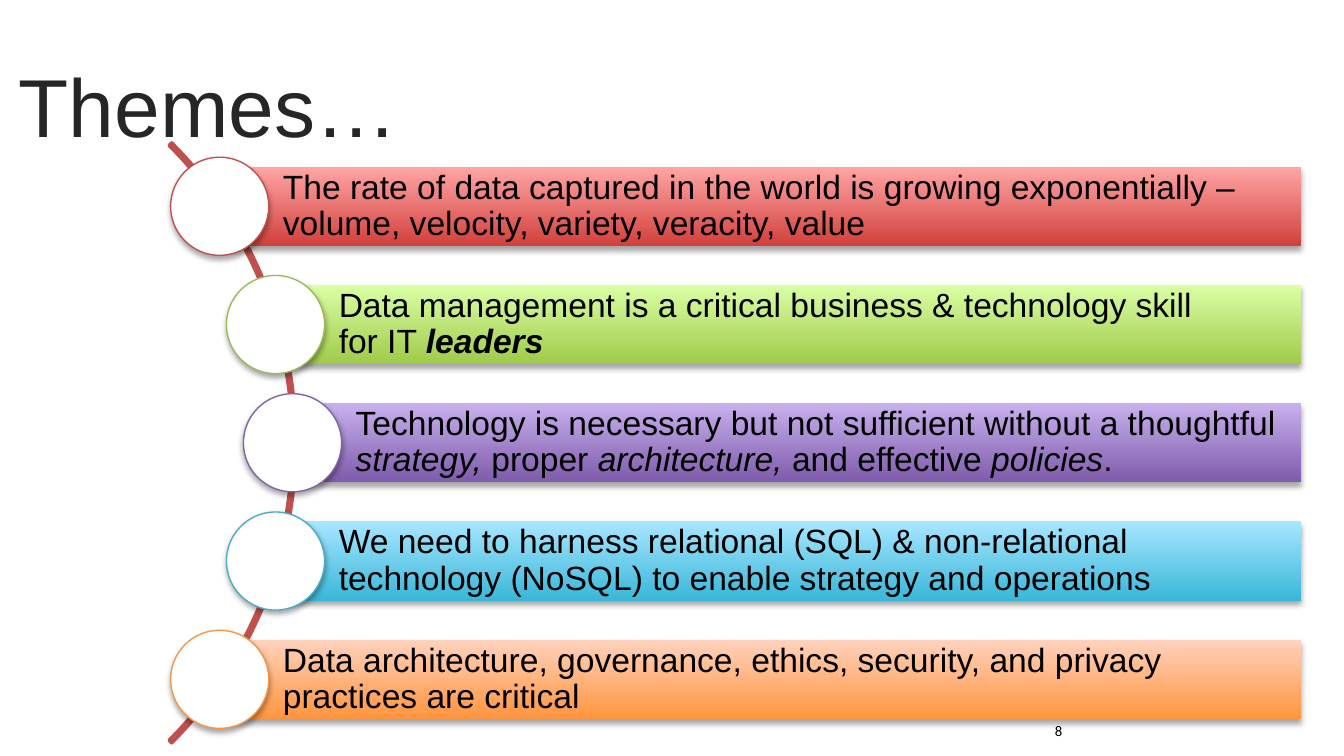
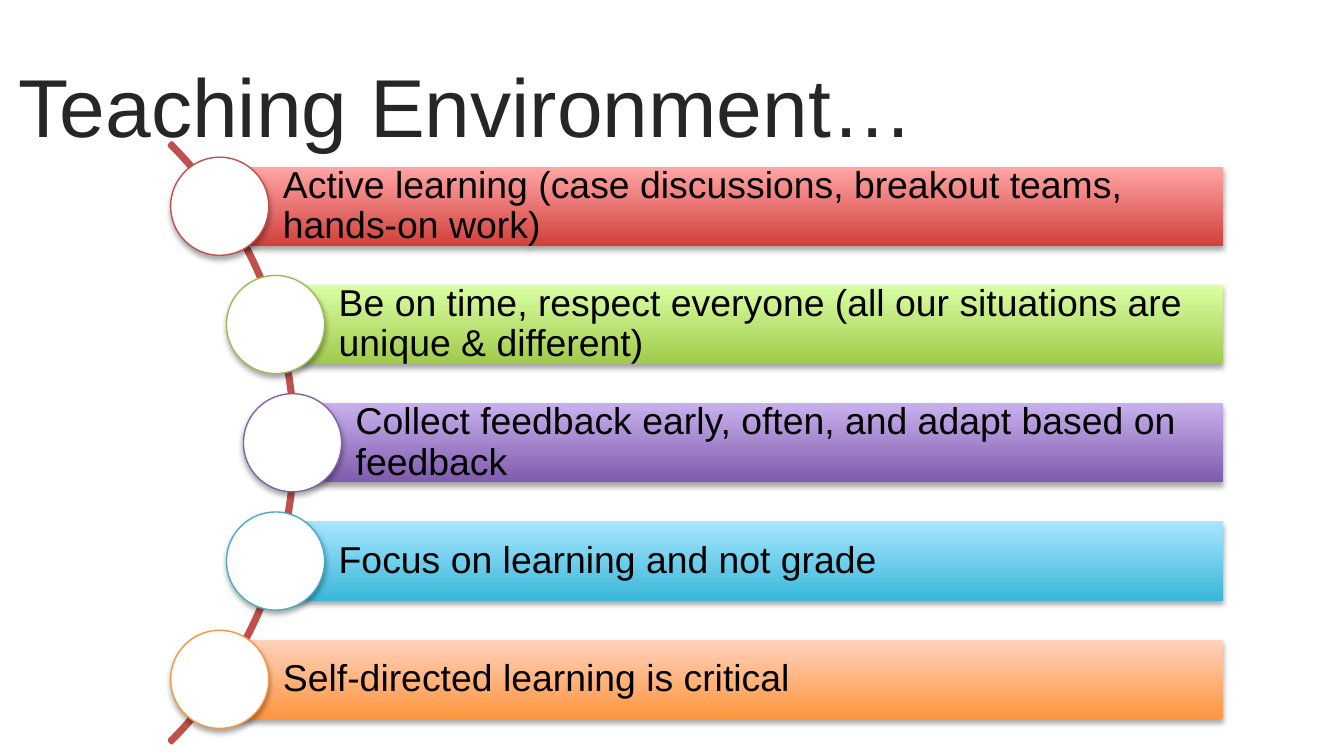
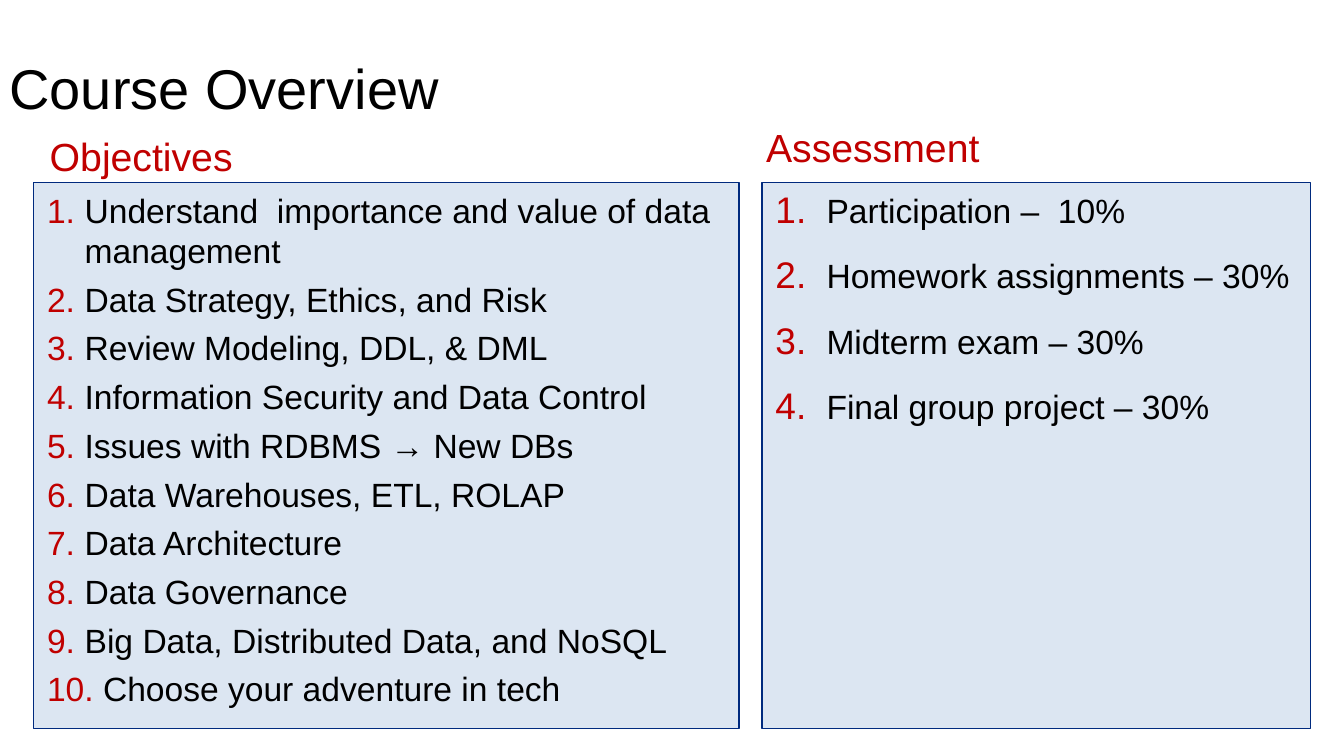
import math

import lxml.etree
import pptx
import pptx.dml.color
import pptx.enum.shapes
import pptx.enum.text
import pptx.oxml.ns
import pptx.util

Inches = pptx.util.Inches
Pt = pptx.util.Pt
SHAPE = pptx.enum.shapes.MSO_SHAPE
ANCHOR = pptx.enum.text.MSO_ANCHOR
qn = pptx.oxml.ns.qn

FONT = "Arial"
BLACK, WHITE, DARK = "000000", "FFFFFF", "262626"
RED, PALE, NAVY, ARC = "C00000", "DCE6F2", "002A7E", "C0504D"
TONES = [
    ("D1403C", "FFA6A5", "C0504D"),
    ("A0CA4A", "DAFFA5", "9BBB59"),
    ("7F5BAB", "C8B0ED", "8064A2"),
    ("39B7D8", "A7E6FF", "4BACC6"),
    ("FF953E", "FFD2BD", "F79646"),
]
DISC, BAR = 0.73, 0.59
ORBIT, RING = 3.13, 6.31

THEMES = [
    ["The rate of data captured in the world is growing exponentially – "
     "volume, velocity, variety, veracity, value"],
    ["Data management is a critical business & technology skill\vfor IT ", ("leaders", True, True)],
    ["Technology is necessary but not sufficient without a thoughtful ",
     ("strategy, ", True, False), ("proper ", False, False),
     ("architecture, ", True, False), ("and effective", False, False),
     (" policies", True, False), (".", False, False)],
    ["We need to harness relational (SQL) & non-relational "
     "technology (NoSQL) to enable strategy and operations"],
    ["Data architecture, governance, ethics, security, and privacy practices are critical"],
]
HABITS = [
    ["Active learning (case discussions, breakout teams, hands-on work)"],
    ["Be on time, respect everyone (all our situations are unique & different)"],
    ["Collect feedback early, often, and adapt based on feedback"],
    ["Focus on learning and not grade"],
    ["Self-directed learning is critical"],
]
GOALS = [
    "Understand  importance and value of data management",
    "Data Strategy, Ethics, and Risk",
    "Review Modeling, DDL, & DML",
    "Information Security and Data Control",
    "Issues with RDBMS → New DBs",
    "Data Warehouses, ETL, ROLAP",
    "Data Architecture",
    "Data Governance",
    "Big Data, Distributed Data, and NoSQL",
    " Choose your adventure in tech",
]
GRADES = [
    "Participation –  10%",
    "Homework assignments – 30%",
    "Midterm exam – 30%",
    "Final group project – 30%",
]


def rgb(code):
    """Turn a hex string into a colour."""
    return pptx.dml.color.RGBColor.from_string(code)


def paint(shape, fill, line, width):
    """Give a shape a flat fill and an outline."""
    if fill:
        shape.fill.solid()
        shape.fill.fore_color.rgb = rgb(fill)
    else:
        shape.fill.background()
    shape.line.color.rgb = rgb(line)
    shape.line.width = Pt(width)


def place(shape, left, top, width, height):
    """Move and size a shape in inches."""
    shape.left, shape.top = Inches(left), Inches(top)
    shape.width, shape.height = Inches(width), Inches(height)


def draw(slide, kind, left, top, width, height):
    """Add a preset shape without a theme shadow."""
    shape = slide.shapes.add_shape(kind, *map(Inches, (left, top, width, height)))
    shape.shadow.inherit = False
    return shape


def shade(shape):
    """Add a soft shadow below a shape."""
    effects = shape._element.spPr.find(qn("a:effectLst"))
    outer = lxml.etree.SubElement(effects, qn("a:outerShdw"), blurRad="39400",
                                  dist="22900", dir="5400000", rotWithShape="0")
    tone = lxml.etree.SubElement(outer, qn("a:srgbClr"), val=BLACK)
    lxml.etree.SubElement(tone, qn("a:alpha"), val="35000")


def style(par, size, color, font=FONT):
    """Format the runs of a left-aligned paragraph."""
    par.alignment = pptx.enum.text.PP_ALIGN.LEFT
    for run in par.runs:
        run.font.name, run.font.size = font, Pt(size)
        run.font.color.rgb = rgb(color)


def frame(shape, anchor, left=0.1, edge=0.05, right=0.1):
    """Set wrapping, anchor and insets of a text frame."""
    text = shape.text_frame
    text.word_wrap = True
    text.auto_size = pptx.enum.text.MSO_AUTO_SIZE.NONE
    text.vertical_anchor = anchor
    text.margin_left, text.margin_right = Inches(left), Inches(right)
    text.margin_top = text.margin_bottom = Inches(edge)
    return text


def label(shape, text, size, color, inset=0.1, anchor=ANCHOR.MIDDLE):
    """Write one line of text."""
    body = frame(shape, anchor, inset)
    body.text = text
    style(body.paragraphs[0], size, color)
    body.paragraphs[0].space_before = Pt(0)
    for run in body.paragraphs[0].runs:
        run.font.bold = False


def band(slide, box, pieces, tone, size, edge):
    """Draw a gradient bar with its text."""
    bar = draw(slide, SHAPE.RECTANGLE, *box)
    low, high, _ = tone
    bar.fill.gradient()
    bar.fill.gradient_angle = 90
    for stop, color in zip(bar.fill.gradient_stops, (low, high)):
        stop.color.rgb = rgb(color)
    bar.line.fill.background()
    shade(bar)
    par = frame(bar, ANCHOR.MIDDLE, 0.47, edge, edge).paragraphs[0]
    par.text = pieces[0]
    for text, italic, bold in pieces[1:]:
        run = par.add_run()
        run.text = text
        run.font.italic, run.font.bold = italic, bold
    par.line_spacing = 0.9
    style(par, size, BLACK)


def orbit(slide, box, items, size, edge):
    """Set bars and discs along an arc inside a box."""
    left, top, width, height = box
    step = (height - DISC) / (len(items) - 1)
    reach = (height - DISC) / 2
    hub = left + DISC / 2 - math.sqrt(ORBIT ** 2 - reach ** 2)
    mid = top + height / 2
    ring = draw(slide, SHAPE.BLOCK_ARC, hub - RING / 2, mid - RING / 2, RING, RING)
    for spot, value in enumerate((189, 27, 0.004)):
        ring.adjustments[spot] = value
    paint(ring, None, ARC, 2)
    for row, (pieces, tone) in enumerate(zip(items, TONES)):
        rise = row * step - reach
        x, y = hub + math.sqrt(ORBIT ** 2 - rise ** 2), mid + rise
        band(slide, (x, y - BAR / 2, left + width - x, BAR), pieces, tone, size, edge)
        disc = draw(slide, SHAPE.OVAL, x - DISC / 2, y - DISC / 2, DISC, DISC)
        paint(disc, WHITE, tone[2], 0.75)
        shade(disc)


def arc_page(deck, title, items, width, size, edge):
    """Add a slide with a title and an arc of bars."""
    slide = deck.slides.add_slide(deck.slide_layouts[5])
    head = slide.shapes.title
    place(head, 0.04, 0.31, 9, 0.94)
    label(head, title, 44, DARK)
    orbit(slide, (1.27, 1.17, width, 4.25), items, size, edge)
    return slide


def number(slide, text):
    """Write the slide number at the foot."""
    foot = slide.shapes.add_textbox(*map(Inches, (7.75, 5.32, 2.25, 0.3)))
    body = frame(foot, ANCHOR.TOP)
    body.text = text
    style(body.paragraphs[0], 7.9, BLACK, "Calibri")


def count(par, indent, scale):
    """Number a paragraph in red with a hanging indent."""
    props = par._p.get_or_add_pPr()
    props.set("marL", str(Inches(indent)))
    props.set("indent", str(-Inches(indent)))
    color = lxml.etree.SubElement(props, qn("a:buClr"))
    lxml.etree.SubElement(color, qn("a:srgbClr"), val=RED)
    lxml.etree.SubElement(props, qn("a:buSzPct"), val=str(scale * 1000))
    lxml.etree.SubElement(props, qn("a:buFont"), typeface=FONT)
    lxml.etree.SubElement(props, qn("a:buAutoNum"), type="arabicPeriod")


def panel(body, box, items, indent, before, scale):
    """Fill a framed body with a numbered list."""
    place(body, *box)
    paint(body, PALE, NAVY, 0.75)
    text = frame(body, ANCHOR.TOP)
    text.text = "\n".join(items)
    for row, par in enumerate(text.paragraphs):
        count(par, indent, scale)
        par.line_spacing = 1.0
        par.space_before = Pt(before if row else 0)
        par.space_after = Pt(4.5)
        style(par, 18, BLACK)


def tag(head, box, text):
    """Write a red heading on white."""
    place(head, *box)
    paint(head, WHITE, WHITE, 2)
    label(head, text, 21, RED, 0.12)


def course(deck):
    """Add the slide with two headed lists."""
    slide = deck.slides.add_slide(deck.slide_layouts[4])
    head, left, goals, right, grades = slide.placeholders
    place(head, 0, 0.35, 9.76, 0.61)
    label(head, "Course Overview", 30, BLACK, 0.07, ANCHOR.TOP)
    tag(left, (0.25, 0.97, 1.65, 0.38), "Objectives")
    panel(goals, (0.25, 1.36, 5.25, 4.06), GOALS, 0.28, 0, 100)
    tag(right, (5.58, 0.94, 1.87, 0.3), "Assessment")
    panel(grades, (5.67, 1.36, 4.08, 4.06), GRADES, 0.38, 9, 110)


def main():
    """Build and save the deck."""
    deck = pptx.Presentation()
    deck.slide_width = Inches(10)
    deck.slide_height = deck.slide_width * 9 // 16
    number(arc_page(deck, "Themes…", THEMES, 8.41, 18, 0.05), "8")
    arc_page(deck, "Teaching Environment…", HABITS, 7.83, 20, 0.06)
    course(deck)
    deck.save("out.pptx")


if __name__ == "__main__":
    main()
